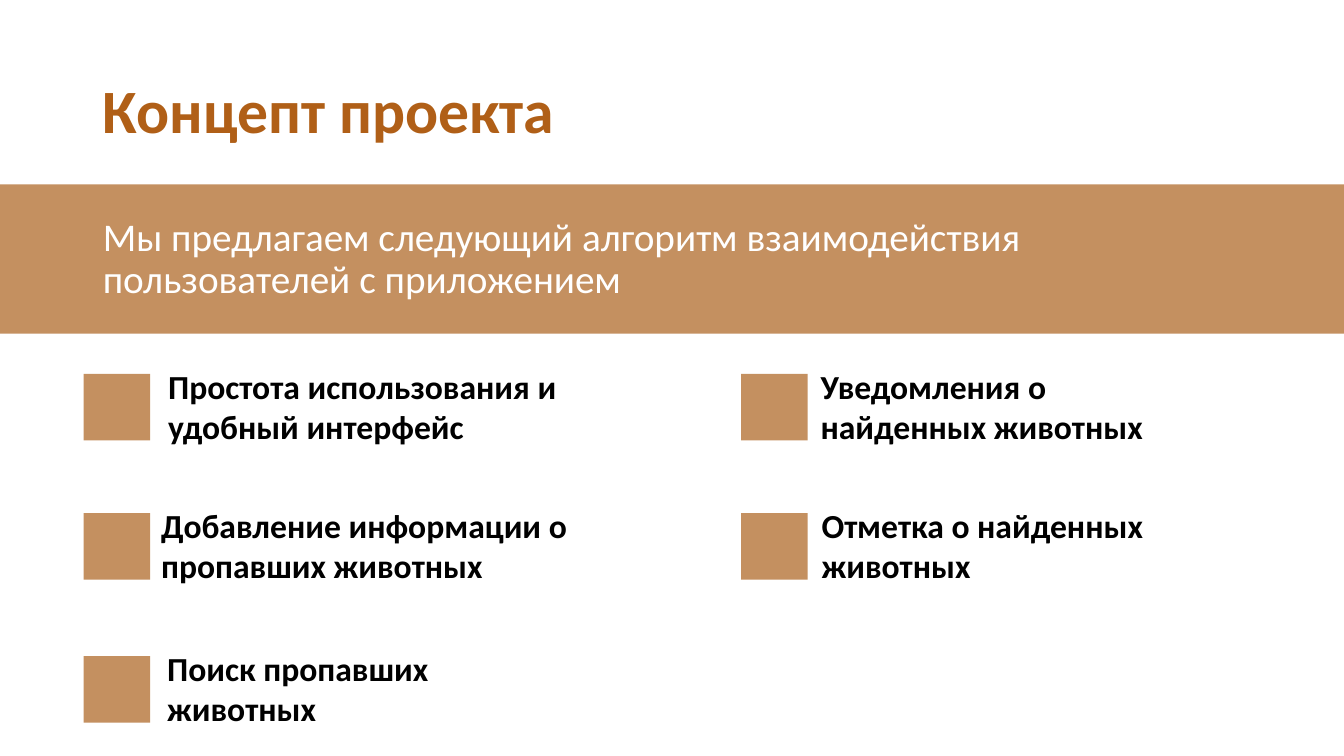
from pptx import Presentation
from pptx.dml.color import RGBColor
from pptx.enum.shapes import MSO_SHAPE
from pptx.enum.text import MSO_ANCHOR, MSO_AUTO_SIZE, PP_ALIGN
from pptx.oxml.ns import qn
from pptx.util import Inches, Pt

COLORS = {"title": "B05F17", "band": "C49060", "light": "FFFFFF", "text": "000000"}
FONT = "Calibri"
COLS = [0.83, 7.35]
ROWS = [3.71, 5.09, 6.51]
MARKER = 0.66
FEATURES = [
    (0, 0, 0.74, 4.14, "Простота использования и удобный интерфейс"),
    (0, 1, 0.67, 4.44, "Добавление информации о пропавших животных"),
    (0, 2, 0.73, 3.31, "Поиск пропавших животных"),
    (1, 0, 0.69, 4.05, "Уведомления о найденных животных"),
    (1, 1, 0.7, 4.09, "Отметка о найденных животных"),
]


def place(sp, box):
    """Move a shape to a box given in inches."""
    sp.left, sp.top, sp.width, sp.height = (Inches(v) for v in box)


def write(sp, text, size, color, bold=False, spacing=1.0):
    """Set and format the single paragraph of a shape."""
    tf = sp.text_frame
    tf.word_wrap = True
    tf.text = text
    p = tf.paragraphs[0]
    p.alignment = PP_ALIGN.LEFT
    p.line_spacing = spacing
    p.space_before = Pt(0)
    font = p.runs[0].font
    font.name, font.size, font.bold = FONT, Pt(size), bold
    font.color.rgb = RGBColor.from_string(COLORS[color])
    return p


def add_block(slide, box):
    """Add a plain filled rectangle."""
    sp = slide.shapes.add_shape(MSO_SHAPE.RECTANGLE, *(Inches(v) for v in box))
    sp.shadow.inherit = False
    sp.fill.solid()
    sp.fill.fore_color.rgb = RGBColor.from_string(COLORS["band"])
    sp.line.fill.background()
    return sp


def add_header(slide, box):
    """Place the title, the full-width band and the lead text on it."""
    left, top, width, height = box
    band = add_block(slide, (0, top + 1.43, 13.33, 1.48))
    slide.shapes.element.insert(2, band.element)

    title = slide.shapes.title
    place(title, (left, top, width, height))
    write(title, "Концепт проекта", 44, "title", True, 0.9)
    title.text_frame.vertical_anchor = MSO_ANCHOR.MIDDLE
    title.text_frame.auto_size = MSO_AUTO_SIZE.NONE

    lead = slide.placeholders[1]
    place(lead, (left, top + 1.71, width, 0.89))
    p = write(lead, "Мы предлагаем следующий алгоритм взаимодействия пользователей с приложением",
              28, "light", spacing=0.9)
    lead.text_frame.vertical_anchor = MSO_ANCHOR.TOP
    lead.text_frame.auto_size = MSO_AUTO_SIZE.NONE
    pPr = p._p.get_or_add_pPr()
    pPr.set("marL", "0")
    pPr.set("indent", "0")
    pPr.append(pPr.makeelement(qn("a:buNone"), {}))


def add_feature(slide, left, top, gap, width, text):
    """Place a square marker and its label beside it."""
    add_block(slide, (left, top, MARKER, MARKER))
    label = slide.shapes.add_textbox(*(Inches(v) for v in (left + gap, top - 0.13, width, 0.91)))
    write(label, text, 24, "text", True)
    label.text_frame.auto_size = MSO_AUTO_SIZE.SHAPE_TO_FIT_TEXT


def main():
    """Build and save the slide."""
    prs = Presentation()
    prs.slide_width, prs.slide_height = Inches(13.33), Inches(7.5)
    slide = prs.slides.add_slide(prs.slide_layouts[1])
    add_header(slide, (0.92, 0.4, 11.5, 1.45))
    for col, row, gap, width, text in FEATURES:
        add_feature(slide, COLS[col], ROWS[row], gap, width, text)
    prs.save("out.pptx")


if __name__ == "__main__":
    main()
